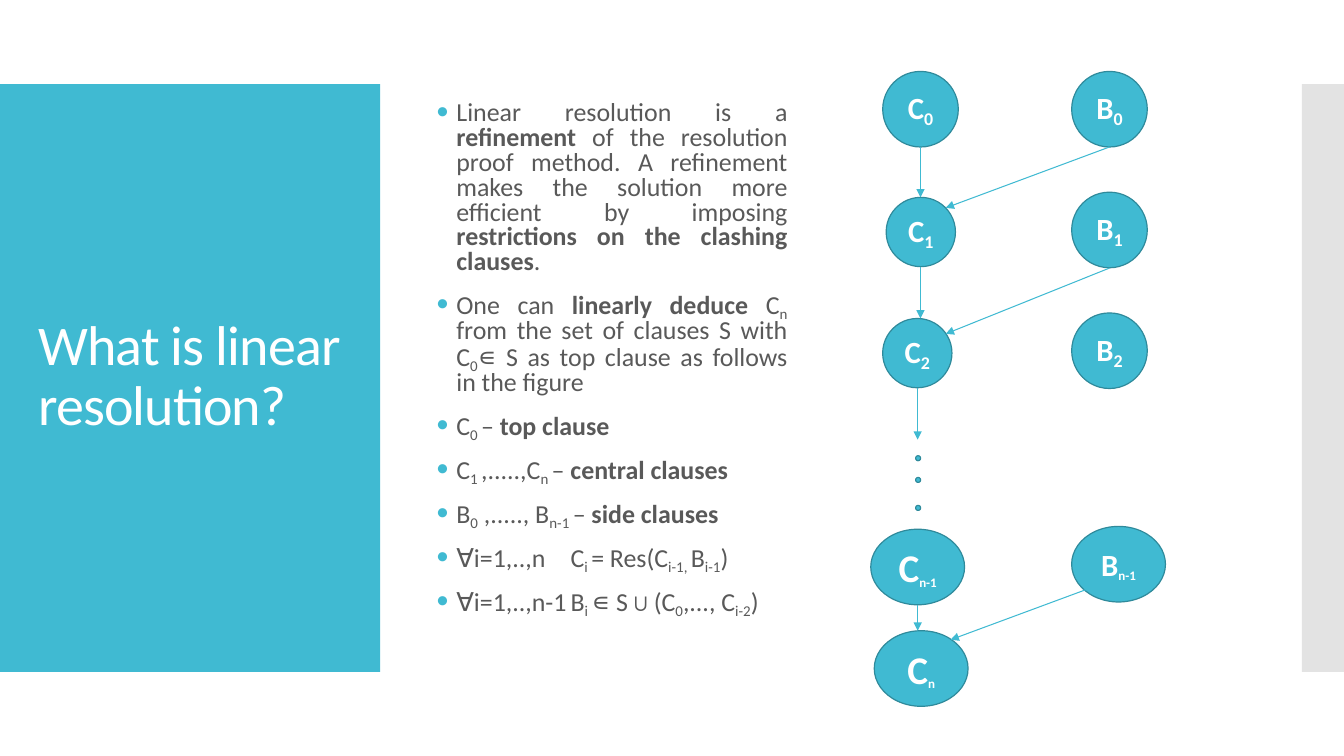
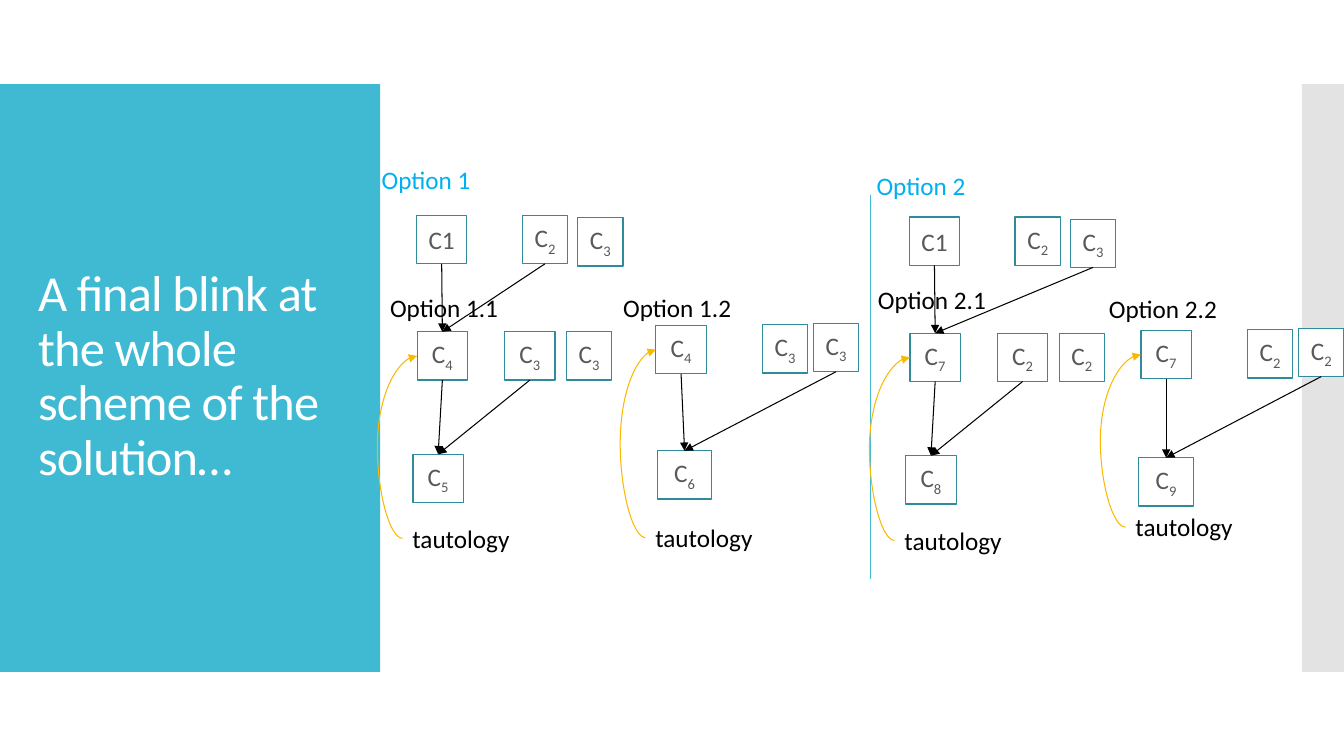
from lxml.etree import SubElement
from pptx import Presentation
from pptx.dml.color import RGBColor
from pptx.enum.shapes import MSO_CONNECTOR, MSO_SHAPE
from pptx.enum.text import MSO_ANCHOR, MSO_AUTO_SIZE, PP_ALIGN
from pptx.oxml.ns import qn
from pptx.util import Pt

COLORS = {
    "accent": "40BAD2",
    "outline": "2F8A9B",
    "side": "C8C8C8",
    "text": "595959",
    "white": "FFFFFF",
    "black": "000000",
    "option": "00B0F0",
    "loop": "FAB900",
}
FONT = "Calibri"
SYMBOL_FONT = "Times New Roman"
TOP, LEFT, BOTTOM = 0, 1, 2


def rgb(name):
    return RGBColor.from_string(COLORS[name])


class DeckBuilder:
    def __init__(self):
        self.deck = Presentation()
        self.deck.slide_width, self.deck.slide_height = Pt(960), Pt(540)
        self.slide = None

    def add_page(self, title, size):
        self.slide = self.deck.slides.add_slide(self.deck.slide_layouts[5])
        holder = self.slide.shapes.title
        left_band = self.shape(MSO_SHAPE.RECTANGLE, 0, 60, 271.5, 420, "accent")
        right_band = self.shape(MSO_SHAPE.RECTANGLE, 930, 60, 30, 420, "side")
        shade = right_band.element.spPr.find(".//" + qn("a:srgbClr"))
        SubElement(shade, qn("a:alpha"), val="50000")
        for band in (left_band, right_band):
            holder.element.addprevious(band.element)
        holder.left, holder.top, holder.width, holder.height = Pt(20), Pt(88.5), Pt(232), Pt(362)
        frame = holder.text_frame
        frame.text = title
        frame.word_wrap = True
        frame.auto_size = MSO_AUTO_SIZE.NONE
        frame.vertical_anchor = MSO_ANCHOR.MIDDLE
        para = frame.paragraphs[0]
        para.alignment = PP_ALIGN.LEFT
        para.line_spacing = 0.9
        span = para.runs[0]
        self.style(span, size, "white")
        span._r.get_or_add_rPr().set("spc", "-60")

    def style(self, span, size, color, bold=False):
        font = span.font
        font.name, font.size, font.bold = FONT, Pt(size), bold
        font.color.rgb = rgb(color)

    def spans(self, para, markup, size, color, bold=False, drop=20, small=None):
        for part in markup.split("|"):
            mark = part[0] if part[0] in "_*~" else ""
            span = para.add_run()
            span.text = part[len(mark):]
            self.style(span, size, color, bold or mark == "*")
            if mark == "_":
                span._r.get_or_add_rPr().set("baseline", str(-drop * 1000))
                span.font.size = Pt(small or size)
            elif mark == "~":
                span.font.name = SYMBOL_FONT

    def shape(self, kind, x, y, width, height, fill, line=None):
        shape = self.slide.shapes.add_shape(kind, Pt(x), Pt(y), Pt(width), Pt(height))
        shape.shadow.inherit = False
        shape.fill.solid()
        shape.fill.fore_color.rgb = rgb(fill)
        if line:
            shape.line.color.rgb = rgb(line)
            shape.line.width = Pt(0.85)
        else:
            shape.line.fill.background()
        return shape

    def node(self, kind, x, y, width, height, fill, markup, **text_style):
        shape = self.shape(kind, x, y, width, height, fill, "outline")
        frame = shape.text_frame
        frame.word_wrap = True
        frame.vertical_anchor = MSO_ANCHOR.MIDDLE
        frame.margin_left = frame.margin_right = frame.margin_top = frame.margin_bottom = 0
        para = frame.paragraphs[0]
        para.alignment = PP_ALIGN.CENTER
        self.spans(para, markup, **text_style)
        return shape

    def circle(self, x, y, width, height, markup, size=22, small=None):
        return self.node(MSO_SHAPE.OVAL, x, y, width, height, "accent", markup,
                         size=size, small=small, color="white", bold=True)

    def clause(self, x, y, width, markup):
        return self.node(MSO_SHAPE.RECTANGLE, x, y, width, 34.5, "white", markup,
                         size=18, color="text", drop=25)

    def label(self, x, y, text, color="black", width=94):
        box = self.slide.shapes.add_textbox(Pt(x), Pt(y), Pt(width), Pt(29))
        frame = box.text_frame
        frame.word_wrap = True
        frame.text = text
        self.style(frame.paragraphs[0].runs[0], 18, color)
        return box

    def bullets(self, x, y, width, height, items):
        box = self.slide.shapes.add_textbox(Pt(x), Pt(y), Pt(width), Pt(height))
        frame = box.text_frame
        frame.word_wrap = True
        for index, markup in enumerate(items):
            para = frame.add_paragraph() if index else frame.paragraphs[0]
            properties = para._p.get_or_add_pPr()
            properties.set("marL", str(Pt(14.4)))
            properties.set("indent", str(-Pt(14.4)))
            bullet_color = SubElement(properties, qn("a:buClr"))
            SubElement(bullet_color, qn("a:srgbClr"), val=COLORS["accent"])
            SubElement(properties, qn("a:buFont"), typeface=FONT)
            SubElement(properties, qn("a:buChar"), char="•")
            if "\t" in markup:
                tabs = SubElement(properties, qn("a:tabLst"))
                SubElement(tabs, qn("a:tab"), pos=str(Pt(96)), algn="l")
            para.alignment = PP_ALIGN.JUSTIFY
            para.line_spacing = 0.8
            para.space_before = Pt(12 if index else 0)
            self.spans(para, markup, 18.5, "text")

    def line(self, x1, y1, x2, y2, color, arrow=True, kind=MSO_CONNECTOR.STRAIGHT):
        line = self.slide.shapes.add_connector(kind, Pt(x1), Pt(y1), Pt(x2), Pt(y2))
        line.line.color.rgb = rgb(color)
        line.line.width = Pt(0.75)
        if arrow:
            SubElement(line.line._get_or_add_ln(), qn("a:tailEnd"), type="triangle")
        SubElement(line.element.spPr, qn("a:effectLst"))
        return line

    def join(self, source, target):
        line = self.line(0, 0, 0, 0, "black")
        line.begin_connect(source, BOTTOM)
        line.end_connect(target, TOP)

    def loop(self, note, target):
        loop = self.line(0, 0, 0, 0, "loop", kind=MSO_CONNECTOR.CURVE)
        loop.begin_connect(note, LEFT)
        loop.end_connect(target, LEFT)
        properties = loop.element.spPr
        frame = properties.find(qn("a:xfrm"))
        frame.attrib.pop("flipV", None)
        frame.set("rot", "10800000")
        frame.set("flipH", "1")
        bulge = round(-Pt(18) / loop.width * 100000)
        guides = properties.find(qn("a:prstGeom")).find(qn("a:avLst"))
        SubElement(guides, qn("a:gd"), name="adj1", fmla=f"val {bulge}")

    def branch(self, x, y, names, sides, source, child, note):
        parent_name, side_name, child_name = names
        parent = self.clause(x, y, 36, parent_name)
        side_boxes = [self.clause(x + dx, y + dy, width, side_name) for dx, dy, width in sides]
        dx, dy, width = child
        result = self.clause(x + dx, y + dy, width, child_name)
        self.join(parent, result)
        self.join(side_boxes[source], result)
        self.loop(self.label(x + note[0], y + note[1], "tautology"), parent)
        return parent


def definition_page(builder):
    builder.add_page("What is linear resolution?", 40)
    builder.bullets(304.5, 69, 265, 403, [
        "Linear resolution is a |*refinement| of the resolution proof method. A refinement "
        "makes the solution more efficient by imposing |*restrictions on the clashing clauses|.",
        "One can |*linearly deduce |C|_n| from the set of clauses S with C|_0|"
        "∊ S as top clause as follows in the figure",
        "C|_0 |– |*top clause",
        "C|_1 |,.....,C|_n |– |*central clauses",
        "B|_0| ,....., B|_n-1 |– |*side clauses",
        "∀i=1,..,n\tC|_i |= Res(C|_i-1, |B|_i-1|)",
        "∀i=1,..,n-1\tB|_i |∊ S|~∪|(C|_0|,..., C|_i-2|)",
    ])
    builder.circle(630.5, 51, 54, 54, "C|_0")
    builder.circle(633, 141, 49.5, 49.5, "C|_1")
    builder.circle(630.5, 227.5, 49.5, 49.5, "C|_2")
    for index in range(3):
        builder.circle(765.5, 51 + 86.25 * index, 54, 54, f"B|_{index}")
    builder.circle(622, 378, 67, 54, "C|_n-1", 28, 16)
    builder.circle(765.5, 376, 67, 54, "B|_n-1", 22, 16)
    builder.circle(624.5, 450.5, 67, 54, "C|_n", 28, 16)
    for ends in [
        (657.5, 105, 657.5, 141), (657.5, 191, 657.5, 227.5),
        (655.5, 277, 655.5, 314), (655.5, 432, 655.5, 450.5),
        (792.5, 105, 675.5, 148.5), (792.5, 191.5, 675.5, 238.5),
        (796.5, 413.5, 679, 457),
    ]:
        builder.line(*ends, "accent")
    for y in (325.5, 341, 361):
        builder.shape(MSO_SHAPE.OVAL, 654, y, 3.6, 3.6, "accent", "outline")


def scheme_page(builder):
    builder.add_page("A final blink at the whole scheme of the solution…", 36)
    builder.line(621.5, 139, 621.5, 413.5, "accent", arrow=False)
    near_sides = [(62.5, 0, 36), (106.5, 0, 32.5)]
    far_sides = [(76, -0.5, 32.5), (112.5, -1.5, 32.5)]
    options = [
        (0, 0, 0, ("C|_4", "C|_3", "C|_5"), (-10.5, 133)),
        (352, 1, 1, ("C|_7", "C|_2", "C|_8"), (-11, 133.5)),
    ]
    for dx, dy, partner, names, note in options:
        start = builder.clause(297.5 + dx, 154 + dy, 36, "C1")
        partners = [
            builder.clause(373 + dx, 154 + dy, 32.5, "C|_2"),
            builder.clause(412.5 + dx, 155.5 + dy, 32.5, "C|_3"),
        ]
        parent = builder.branch(298 + dx, 237 + dy, names, near_sides, 0, (-3, 87.5, 36), note)
        builder.join(start, parent)
        builder.join(partners[partner], parent)
    builder.branch(468.5, 232.5, ("C|_4", "C|_3", "C|_6"), far_sides, 1, (1, 89.5, 39), (-7.5, 137))
    builder.branch(815, 236, ("C|_7", "C|_2", "C|_9"), far_sides, 1, (-1.5, 91, 39), (-11, 126))
    for x, y, text in [
        (271.5, 205, "Option 1.1"), (438, 205, "Option 1.2"),
        (620, 199.5, "Option 2.1"), (785, 206, "Option 2.2"),
    ]:
        builder.label(x, y, text, width=96)
    builder.label(265.5, 114, "Option 1", "option", 178.5)
    builder.label(619, 118, "Option 2", "option", 178.5)


def main():
    builder = DeckBuilder()
    definition_page(builder)
    scheme_page(builder)
    builder.deck.save("out.pptx")


if __name__ == "__main__":
    main()
